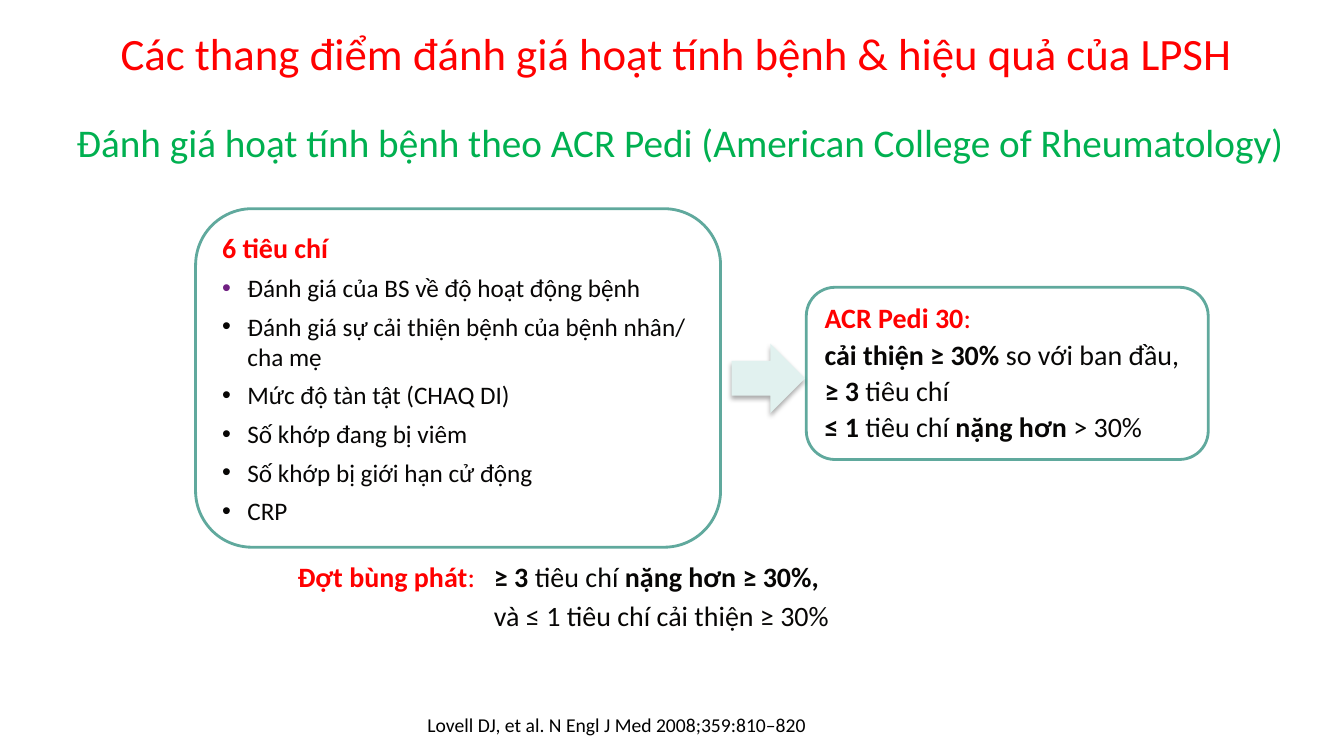
from dataclasses import dataclass

from lxml.etree import SubElement
from pptx import Presentation
from pptx.dml.color import RGBColor
from pptx.enum.shapes import MSO_SHAPE
from pptx.enum.text import MSO_ANCHOR, MSO_AUTO_SIZE, PP_ALIGN
from pptx.oxml.ns import qn
from pptx.util import Cm, Pt


@dataclass(frozen=True)
class Theme:
    font: str = "Calibri"
    red: str = "FF0000"
    green: str = "00B050"
    ink: str = "070605"
    black: str = "000000"
    white: str = "FFFFFF"
    teal: str = "60A99D"
    mint: str = "E1F1EF"
    purple: str = "702082"
    heading: int = 32
    title: int = 28
    text: int = 20
    item: int = 18
    reference: int = 14


T = Theme()


@dataclass(frozen=True)
class Span:
    text: str
    bold: bool = False
    color: str = T.ink
    size: int = T.text


@dataclass(frozen=True)
class Para:
    spans: tuple[Span, ...]
    before: float = 0
    left: float = 0
    indent: float = 0
    bullet: str = ""
    spacing: float = 1.0
    align: PP_ALIGN = PP_ALIGN.LEFT


@dataclass(frozen=True)
class Block:
    box: tuple[float, float, float, float]
    paras: tuple[Para, ...]
    framed: bool = False
    anchor: MSO_ANCHOR = MSO_ANCHOR.TOP
    bottom: float = 0.13


def apply(obj, values: dict) -> None:
    for name, value in values.items():
        setattr(obj, name, value)


def rgb(color: str) -> RGBColor:
    return RGBColor.from_string(color)


def lengths(box: tuple) -> list:
    return [Cm(v) for v in box]


def write_para(p, para: Para) -> None:
    pPr = p._p.get_or_add_pPr()
    pPr.set("marL", str(Cm(para.left)))
    pPr.set("indent", str(Cm(para.indent)))
    if para.bullet:
        SubElement(SubElement(pPr, qn("a:buClr")), qn("a:srgbClr"), val=para.bullet)
        SubElement(pPr, qn("a:buFont"), typeface="Arial")
        SubElement(pPr, qn("a:buChar"), char="•")
    else:
        SubElement(pPr, qn("a:buNone"))
    apply(p, {"alignment": para.align, "line_spacing": para.spacing,
              "space_before": Pt(para.before)})
    for span in para.spans:
        r = p.add_run()
        r.text = span.text
        apply(r.font, {"name": T.font, "size": Pt(span.size), "bold": span.bold})
        r.font.color.rgb = rgb(span.color)


def write_block(sp, block: Block) -> None:
    tf = sp.text_frame
    apply(tf, {"word_wrap": True, "auto_size": MSO_AUTO_SIZE.NONE,
               "vertical_anchor": block.anchor, "margin_bottom": Cm(block.bottom)})
    for i, para in enumerate(block.paras):
        write_para(tf.add_paragraph() if i else tf.paragraphs[0], para)


def add_block(s, block: Block) -> None:
    if block.framed:
        sp = s.shapes.add_shape(MSO_SHAPE.ROUNDED_RECTANGLE, *lengths(block.box))
        sp.shadow.inherit = False
        sp.fill.solid()
        sp.fill.fore_color.rgb = rgb(T.white)
        sp.line.color.rgb = rgb(T.teal)
        sp.line.width = Pt(2)
    else:
        sp = s.shapes.add_textbox(*lengths(block.box))
    write_block(sp, block)


def add_arrow(s, box: tuple) -> None:
    sp = s.shapes.add_shape(MSO_SHAPE.RIGHT_ARROW, *lengths(box))
    sp.shadow.inherit = False
    sp.fill.solid()
    sp.fill.fore_color.rgb = rgb(T.mint)
    sp.line.fill.background()
    # Soft shadow below the arrow
    effects = sp._element.spPr.find(qn("a:effectLst"))
    shadow = SubElement(effects, qn("a:outerShdw"), blurRad=str(Pt(3.5)),
                        dist=str(Pt(2.2)), dir="5400000", rotWithShape="0")
    color = SubElement(shadow, qn("a:srgbClr"), val=T.black)
    SubElement(color, qn("a:alpha"), val="32000")


# Content
TITLE = Block((1.68, 2.74, 31.62, 1.57), (
    Para((Span("Đánh giá hoạt tính bệnh theo ACR Pedi (American College of Rheumatology)",
               color=T.green, size=T.title),), spacing=0.9),
), anchor=MSO_ANCHOR.BOTTOM)

HEADING = Block((1.9, 0.53, 31.01, 1.63), (
    Para((Span("Các thang điểm đánh giá hoạt tính bệnh & hiệu quả của LPSH",
               color=T.red, size=T.heading),), left=0.89),
))

ITEMS = (
    "Đánh giá của BS về độ hoạt động bệnh",
    "Đánh giá sự cải thiện bệnh của bệnh nhân/ cha mẹ",
    "Mức độ tàn tật (CHAQ DI)",
    "Số khớp đang bị viêm",
    "Số khớp bị giới hạn cử động",
    "CRP",
)
CRITERIA = Block((4.93, 5.26, 13.23, 8.53), (
    Para((Span("6 tiêu chí", True, T.red),)),
    *(Para((Span(item, size=T.item),), before=6, left=0.64, indent=-0.64,
           bullet=T.ink if i else T.purple) for i, item in enumerate(ITEMS)),
), framed=True)

RESPONSE = Block((20.32, 7.24, 10.13, 4.34), (
    Para((Span("ACR Pedi 30", True, T.red), Span(":", color=T.red))),
    Para((Span("cải thiện ≥ 30%", True), Span(" so với ban đầu,")), before=2),
    Para((Span("≥ 3 ", True), Span("tiêu chí")), before=2),
    Para((Span("≤ 1 ", True), Span("tiêu chí "), Span("nặng hơn ", True),
          Span("> 30%")), before=2),
), framed=True)

FLARE = Block((6.48, 13.98, 19.66, 2.24), (
    Para((Span("Đợt bùng phát", True, T.red), Span(":\t", color=T.red),
          Span("≥ 3 ", True), Span("tiêu chí "), Span("nặng hơn ≥ 30%,", True)),
         left=5.72, indent=-4.95),
    Para((Span("và ≤ 1 tiêu chí cải thiện ≥ 30%"),), before=4, left=5.72),
))

REFERENCE = Block((9.88, 17.91, 10.69, 0.66), (
    Para((Span("Lovell DJ, et al. N Engl J Med 2008;359:810–820",
               color=T.black, size=T.reference),),
         spacing=0.9, align=PP_ALIGN.RIGHT),
), anchor=MSO_ANCHOR.BOTTOM, bottom=0)


def main() -> None:
    prs = Presentation()
    apply(prs, {"slide_width": Cm(33.87), "slide_height": Cm(19.05)})
    s = prs.slides.add_slide(prs.slide_layouts[5])

    # Title placeholder
    title = s.shapes.title
    apply(title, dict(zip(("left", "top", "width", "height"), lengths(TITLE.box))))
    write_block(title, TITLE)

    # Text and framed boxes
    for block in (FLARE, REFERENCE, CRITERIA, RESPONSE, HEADING):
        add_block(s, block)

    # Arrow from criteria to response
    add_arrow(s, (18.44, 8.66, 1.85, 1.75))
    prs.save("out.pptx")


if __name__ == "__main__":
    main()
